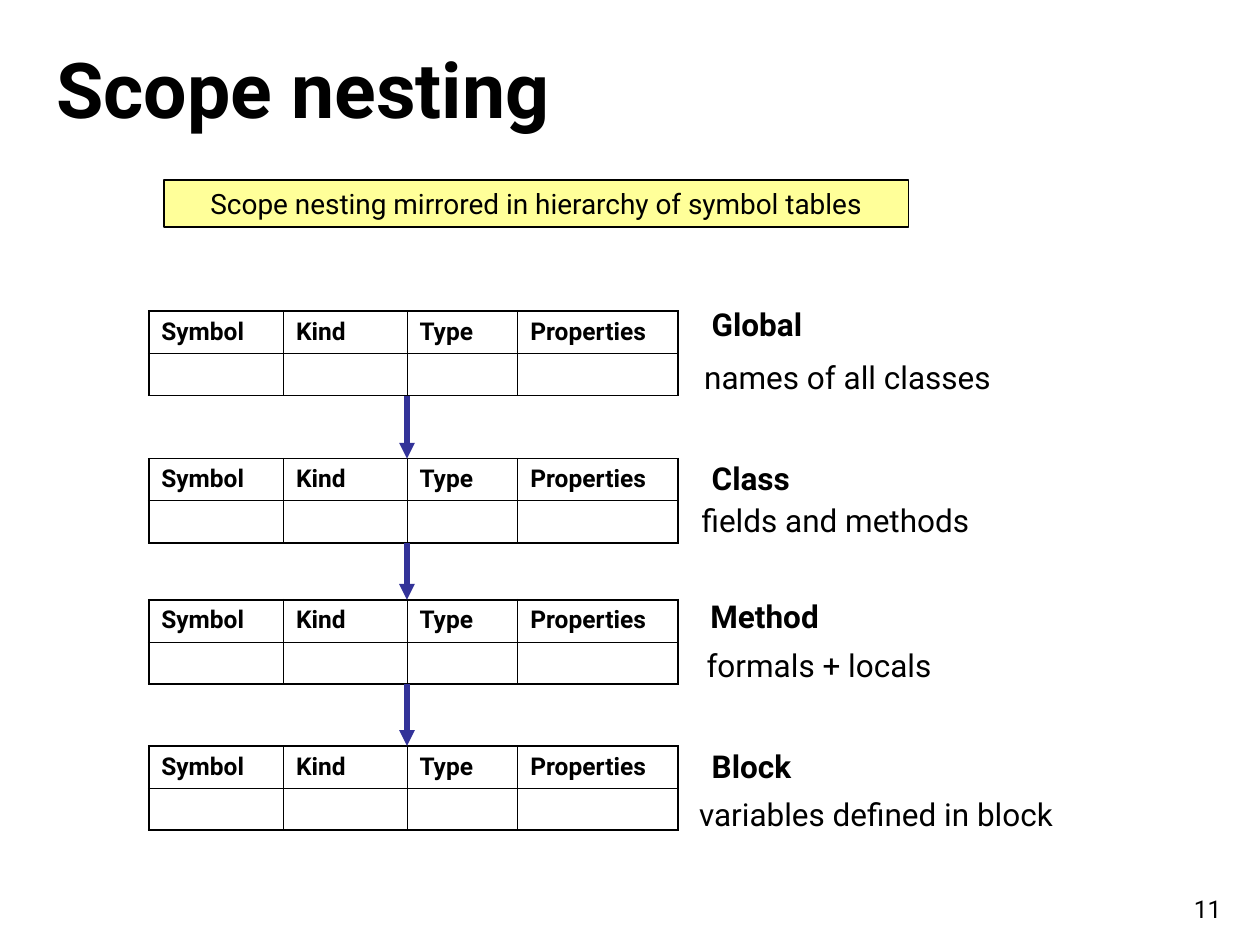
from lxml import etree
from pptx import Presentation
from pptx.dml.color import RGBColor
from pptx.enum import shapes, text
from pptx.oxml import ns
from pptx.util import Inches, Pt

BLACK = RGBColor(0x00, 0x00, 0x00)
YELLOW = RGBColor(0xFF, 0xFF, 0x99)
INDIGO = RGBColor(0x33, 0x33, 0x99)
FONT = "Roboto"

TITLE = "Scope nesting"
BANNER = "Scope nesting mirrored in hierarchy of symbol tables"
PAGE_NUMBER = "11"
COLUMNS = [("Symbol", 1.07), ("Kind", 0.98), ("Type", 0.88), ("Properties", 1.27)]
# Table top, then name and contents, each as (text, left, top, width)
SCOPES = [
    (2.47, ("Global", 5.55, 2.37, 1.0), ("names of all classes", 5.49, 2.79, 2.51)),
    (3.64, ("Class", 5.55, 3.59, 0.83), ("fields and methods", 5.47, 3.93, 2.45)),
    (4.76, ("Method", 5.54, 4.69, 1.17), ("formals + locals", 5.51, 5.08, 2.03)),
    (5.92, ("Block", 5.55, 5.88, 0.88), ("variables defined in block", 5.45, 6.26, 3.18)),
]
TABLE_LEFT, TABLE_WIDTH, TABLE_HEIGHT = 1.18, 4.2, 0.67
LABEL_HEIGHT = 0.4
ARROW_X = TABLE_LEFT + COLUMNS[0][1] + COLUMNS[1][1]
OUTER_LINE, INNER_LINE = 1.08, 0.45


def style(paragraph, size, bold=False):
    font = paragraph.font
    font.name, font.size, font.bold = FONT, Pt(size), bold
    font.color.rgb = BLACK


def add_text(slide, words, left, top, width, height, size, bold=False,
             anchor=text.MSO_ANCHOR.TOP, align=text.PP_ALIGN.LEFT):
    box = slide.shapes.add_textbox(Inches(left), Inches(top), Inches(width), Inches(height))
    frame = box.text_frame
    frame.word_wrap = True
    frame.vertical_anchor = anchor
    paragraph = frame.paragraphs[0]
    paragraph.text = words
    paragraph.alignment = align
    style(paragraph, size, bold)


def add_border(cell, side, width):
    properties = cell._tc.get_or_add_tcPr()
    line = etree.SubElement(properties, ns.qn(f"a:ln{side}"), w=str(Pt(width)))
    fill = etree.SubElement(line, ns.qn("a:solidFill"))
    etree.SubElement(fill, ns.qn("a:srgbClr"), val=str(BLACK))


def add_symbol_table(slide, top):
    table = slide.shapes.add_table(2, len(COLUMNS), Inches(TABLE_LEFT), Inches(top),
                                   Inches(TABLE_WIDTH), Inches(TABLE_HEIGHT)).table
    table.first_row = table.horz_banding = False
    last_column = len(COLUMNS) - 1
    for column, (heading, width) in enumerate(COLUMNS):
        table.columns[column].width = Inches(width)
        for row in range(2):
            cell = table.cell(row, column)
            paragraph = cell.text_frame.paragraphs[0]
            style(paragraph, 14, bold=True)
            if row == 0:
                paragraph.text = heading
                paragraph.space_before = Pt(3.5)
            else:
                # Keeps the empty row from growing to the default text size
                etree.SubElement(paragraph._p, ns.qn("a:endParaRPr"), sz="1400")
            outer = {"L": column == 0, "R": column == last_column, "T": row == 0, "B": row == 1}
            for side, is_outer in outer.items():
                add_border(cell, side, OUTER_LINE if is_outer else INNER_LINE)
            cell.fill.background()


def add_arrow(slide, start, end):
    arrow = slide.shapes.add_connector(shapes.MSO_CONNECTOR.STRAIGHT, Inches(ARROW_X),
                                       Inches(start), Inches(ARROW_X), Inches(end))
    arrow.line.color.rgb = INDIGO
    arrow.line.width = Pt(3)
    etree.SubElement(arrow.line._get_or_add_ln(), ns.qn("a:tailEnd"), type="triangle")
    etree.SubElement(arrow._element.spPr, ns.qn("a:effectLst"))


def add_banner(slide):
    banner = slide.shapes.add_shape(shapes.MSO_SHAPE.RECTANGLE, Inches(1.3), Inches(1.43),
                                    Inches(5.91), Inches(0.37))
    banner.shadow.inherit = False
    banner.fill.solid()
    banner.fill.fore_color.rgb = YELLOW
    banner.line.color.rgb = BLACK
    banner.line.width = Pt(1)
    banner.text_frame.vertical_anchor = text.MSO_ANCHOR.TOP
    paragraph = banner.text_frame.paragraphs[0]
    paragraph.text = BANNER
    paragraph.alignment = text.PP_ALIGN.CENTER
    paragraph.space_before = Pt(10)
    style(paragraph, 16)


def main():
    presentation = Presentation()
    presentation.slide_width, presentation.slide_height = Inches(10), Inches(7.5)
    slide = presentation.slides.add_slide(presentation.slide_layouts[6])

    # Title, banner and page number
    add_text(slide, TITLE, 0.35, 0.21, 9.33, 0.9, 44, True, text.MSO_ANCHOR.BOTTOM)
    add_banner(slide)
    add_text(slide, PAGE_NUMBER, 9.17, 7.14, 0.83, 0.24, 14,
             anchor=text.MSO_ANCHOR.BOTTOM, align=text.PP_ALIGN.CENTER)

    # One symbol table per scope, with its name and contents
    for top, (name, *name_place), (contents, *contents_place) in SCOPES:
        add_symbol_table(slide, top)
        add_text(slide, name, *name_place, LABEL_HEIGHT, 18, bold=True)
        add_text(slide, contents, *contents_place, LABEL_HEIGHT, 18)

    # Arrows from each table to the next
    for (upper, *_), (lower, *_) in zip(SCOPES, SCOPES[1:]):
        add_arrow(slide, upper + TABLE_HEIGHT, lower)

    presentation.save("out.pptx")


if __name__ == "__main__":
    main()
